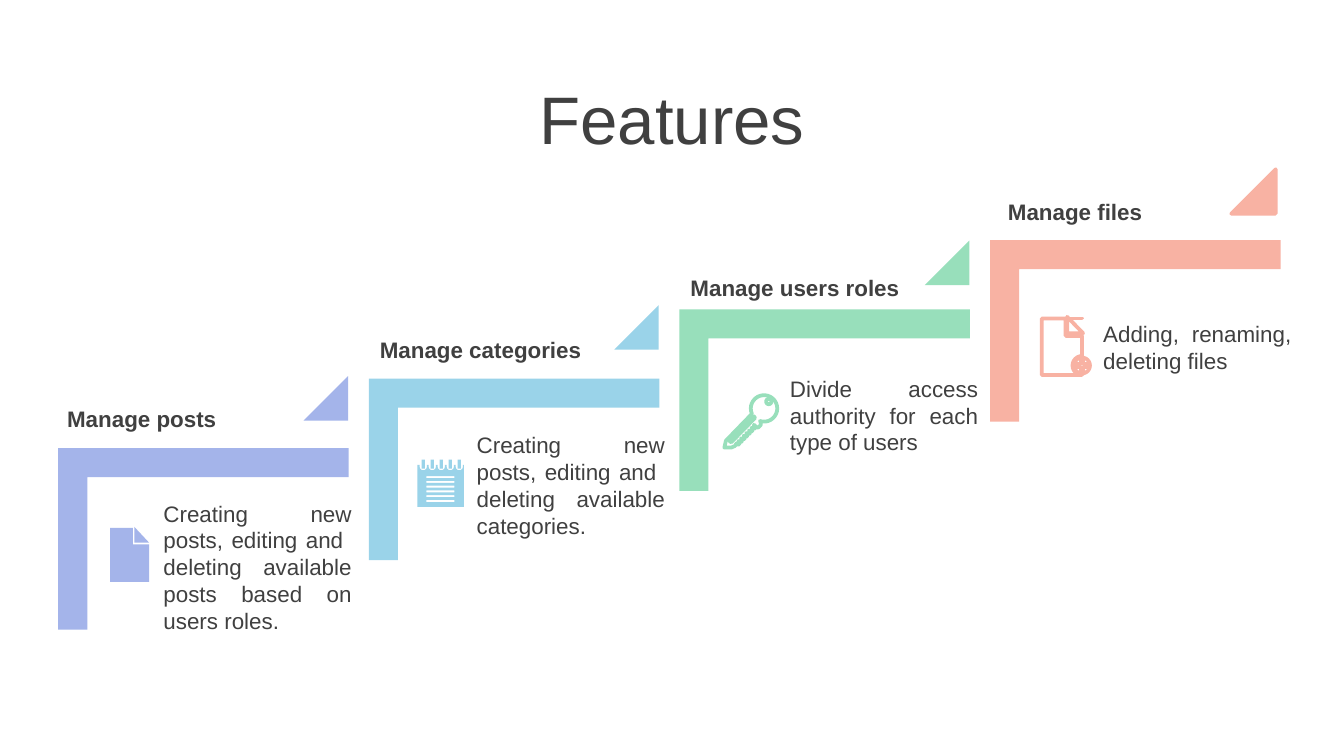
from dataclasses import dataclass
from math import cos, radians, sin

from pptx import Presentation
from pptx.dml.color import RGBColor
from pptx.enum.shapes import MSO_SHAPE
from pptx.enum.text import MSO_ANCHOR, PP_ALIGN
from pptx.util import Cm, Pt

CORNER = MSO_SHAPE.CORNER
TRIANGLE = MSO_SHAPE.ISOSCELES_TRIANGLE
LEFT, CENTER, JUSTIFY = PP_ALIGN.LEFT, PP_ALIGN.CENTER, PP_ALIGN.JUSTIFY
MIDDLE, TOP = MSO_ANCHOR.MIDDLE, MSO_ANCHOR.TOP


@dataclass(frozen=True)
class Theme:
    font: str = "Arial"
    ink: RGBColor = RGBColor.from_string("404040")
    white: RGBColor = RGBColor.from_string("FFFFFF")
    violet: RGBColor = RGBColor.from_string("A4B4EA")
    blue: RGBColor = RGBColor.from_string("9AD3E9")
    green: RGBColor = RGBColor.from_string("98DFBB")
    coral: RGBColor = RGBColor.from_string("F8B2A3")
    title_size: Pt = Pt(36)
    text_size: Pt = Pt(12)
    outline: Pt = Pt(2)


theme = Theme()
deck = Presentation()
deck.slide_width, deck.slide_height = Cm(25.4), Cm(14.29)
page = deck.slides.add_slide(deck.slide_layouts[6])


def add_text(text, left, top, width, height, size, align, anchor=TOP, bold=False):
    box = page.shapes.add_textbox(Cm(left), Cm(top), Cm(width), Cm(height))
    box.text_frame.word_wrap = True
    box.text_frame.vertical_anchor = anchor
    para = box.text_frame.paragraphs[0]
    para.text = text
    para.alignment = align
    para.font.name, para.font.size, para.font.bold = theme.font, size, bold
    para.font.color.rgb = theme.ink


def arc(x, y, radius, start=0, stop=360, step=15):
    """Points in cm along a circle, angles in degrees, clockwise on the page."""
    return [(x + radius * cos(radians(a)), y + radius * sin(radians(a)))
            for a in range(start, stop, step)]


# Title
add_text("Features", 0, 0.36, 25.4, 3.71, theme.title_size, CENTER, MIDDLE)

# Steps: name, text, colour, label place, label width, body top, triangle place
steps = [
    ("Manage posts",
     "Creating new posts, editing and  deleting available posts based on users roles.",
     theme.violet, (1.02, 7.54), 4.06, 9.32, (5.74, 7.11)),
    ("Manage categories",
     "Creating new posts, editing and  deleting available categories.",
     theme.blue, (6.93, 6.22), 4.67, 8.03, (11.61, 5.77)),
    ("Manage users roles",
     "Divide access authority for each type of users",
     theme.green, (12.8, 5.05), 4.67, 6.96, (17.48, 4.55)),
    ("Manage files",
     "Adding, renaming, deleting files",
     theme.coral, (18.8, 3.63), 4.06, 5.92, (23.27, 3.2)),
]
for i, (name, text, color, label, width, body_top, tip) in enumerate(steps):
    bracket = page.shapes.add_shape(CORNER, Cm(2.13 + 5.87 * i), Cm(7.44 - 1.31 * i),
                                    Cm(3.43), Cm(5.49))
    bracket.rotation = 90
    bracket.adjustments[0] = bracket.adjustments[1] = 0.16
    triangle = page.shapes.add_shape(TRIANGLE, Cm(tip[0]), Cm(tip[1]), Cm(0.84), Cm(0.84))
    triangle.adjustments[0] = 1
    for shape in (bracket, triangle):
        shape.shadow.inherit = False
        shape.fill.solid()
        shape.fill.fore_color.rgb = color
        shape.line.fill.background()
    if color == theme.coral:
        triangle.line.color.rgb = color
        triangle.line.width = theme.outline
    add_text(text, 2.84 + 5.92 * i, body_top, 4.06, 2.82 - 0.51 * i,
             theme.text_size, JUSTIFY)
    add_text(name, *label, width, 0.77, theme.text_size, LEFT, bold=True)

# Sheet icon: page and folded corner
sheet = [
    [(2.08, 9.98), (2.51, 9.98), (2.51, 10.29), (2.82, 10.29), (2.82, 11), (2.08, 11)],
    [(2.54, 9.96), (2.82, 10.26), (2.54, 10.26)],
]

# Notepad icon: notched pad, ruled lines, binding pins
rings = [8 + 0.17 * n for n in range(5)]
pad = [(7.89, 8.79)]
for x in rings:
    pad += [(x - 0.07, 8.79), *arc(x, 8.82, 0.07, 180, -1, -30), (x + 0.07, 8.79)]
notepad = [pad + [(8.77, 8.79), (8.77, 9.58), (7.89, 9.58)]]
for n in range(6):
    y = 9 + 0.09 * n
    notepad.append([(8.06, y), (8.59, y), (8.59, y + 0.04), (8.06, y + 0.04)])
for x in rings:
    notepad.append([(x - 0.03, 8.69), (x + 0.03, 8.69), (x + 0.03, 8.86), (x - 0.03, 8.86)])

# Key icon: bow, collar, teeth and tip, then groove and hole
key_edge = arc(14.44, 7.72, 0.25, 156, 473, 12)
key_edge += [(14.38, 7.98), (14.38, 8.03), (14.33, 8.08), (14.3, 8.08), (14.25, 8.03)]
for n in range(7):
    x, y = 14.25 - 0.05 * n, 8.05 + 0.05 * n
    key_edge += [(x, y), (x + 0.03, y + 0.03), (x, y + 0.06), (x - 0.03, y + 0.03)]
key_edge += [(13.89, 8.43), (13.82, 8.46), (13.69, 8.46), (13.72, 8.33)]
key = [
    key_edge,
    [(14.25, 7.87), (13.79, 8.34), (13.82, 8.36), (14.27, 7.9)],
    arc(14.53, 7.59, 0.05),
]

# File icon: page, fold and a round plus badge
badge_x, badge_y = 20.45, 6.91
plus = [(-1, -3), (1, -3), (1, -1), (3, -1), (3, 1), (1, 1),
        (1, 3), (-1, 3), (-1, 1), (-3, 1), (-3, -1), (-1, -1)]
file_page = [
    [(19.69, 6.02), (20.14, 6.02), (20.14, 6.35), (20.45, 6.35),
     *arc(badge_x, badge_y, 0.18, 270, 89, -15), (20.45, 7.09), (19.69, 7.09)],
    [(20.17, 5.99), (20.47, 6.3), (20.17, 6.3)],
    [(20.22, 6.02), (20.45, 6.02)],
    arc(badge_x, badge_y, 0.15),
    [(badge_x + 0.03 * x, badge_y + 0.03 * y) for x, y in plus],
]

# Draw the icons; the last two are outlined
icons = [
    (sheet, theme.violet, None),
    (notepad, theme.blue, None),
    (key, theme.white, theme.green),
    (file_page, theme.white, theme.coral),
]
for contours, fill, outline in icons:
    builder = None
    for contour in contours:
        points = [(round(x * 1000), round(y * 1000)) for x, y in contour]
        if builder is None:
            builder = page.shapes.build_freeform(*points[0], scale=Cm(0.001))
        else:
            builder.move_to(*points[0])
        builder.add_line_segments(points[1:], close=True)
    icon = builder.convert_to_shape()
    icon.shadow.inherit = False
    icon.fill.solid()
    icon.fill.fore_color.rgb = fill
    if outline is None:
        icon.line.fill.background()
    else:
        icon.line.color.rgb = outline
        icon.line.width = theme.outline

deck.save("out.pptx")
